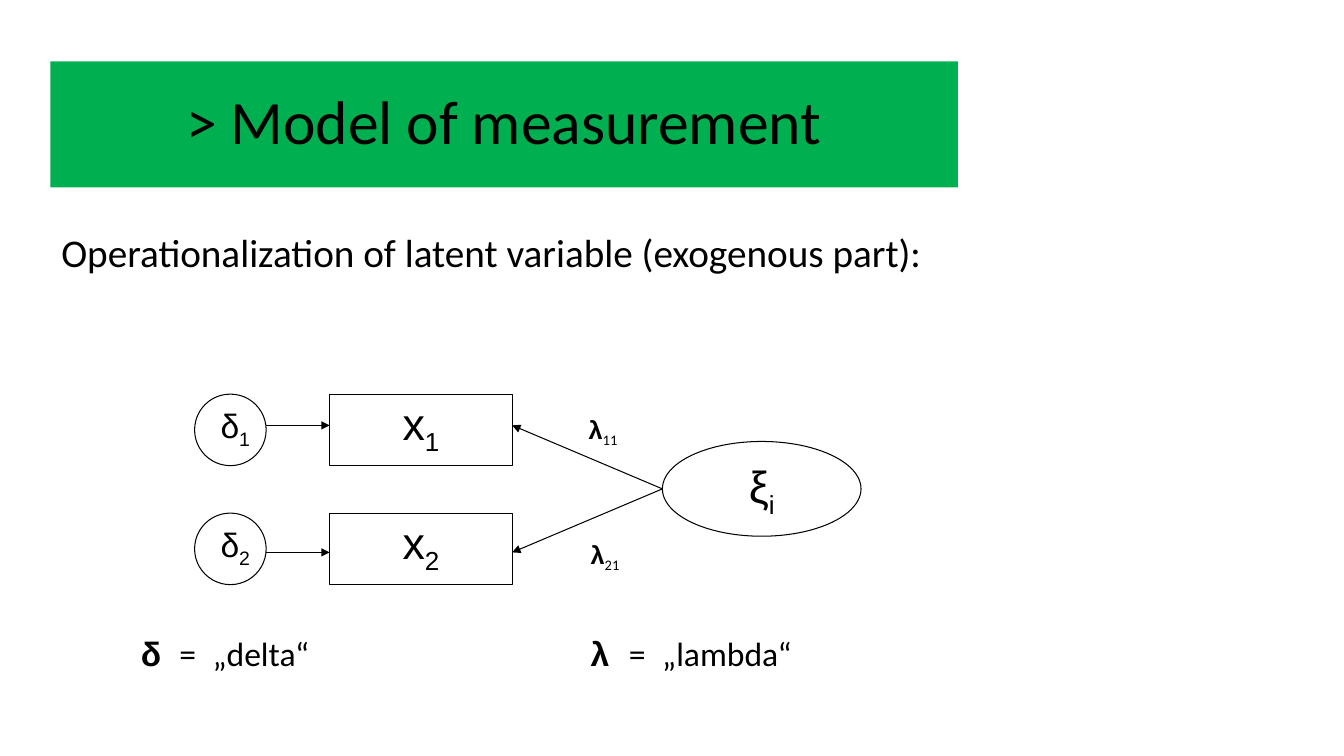
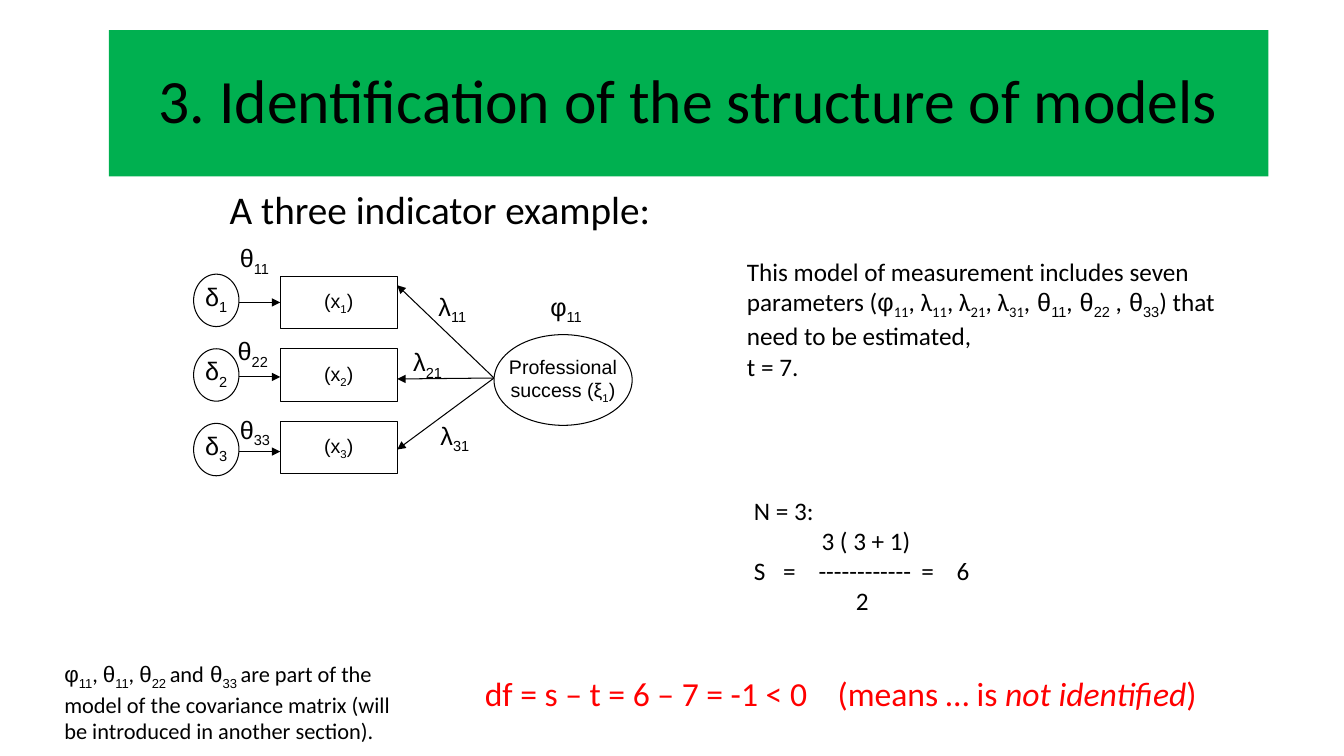
from dataclasses import dataclass

from lxml import etree
from pptx import Presentation
from pptx import util as u
from pptx.dml import color
from pptx.enum import shapes, text
from pptx.oxml import ns

EMU_PER_PX = 9144


@dataclass(frozen=True)
class Theme:
    band: color.RGBColor = color.RGBColor(0x00, 0xB0, 0x50)
    ink: color.RGBColor = color.RGBColor(0x00, 0x00, 0x00)
    paper: color.RGBColor = color.RGBColor(0xFF, 0xFF, 0xFF)
    alert: color.RGBColor = color.RGBColor(0xFF, 0x00, 0x00)
    body_font: str = "Calibri"
    symbol_font: str = "Arial"
    title: int = 44
    heading: int = 28
    variable: int = 32
    large: int = 24
    body: int = 18
    note: int = 16
    small: int = 14
    line: float = 0.75
    tight: float = 0.9


THEME = Theme()
BODY, SYMBOL = THEME.body_font, THEME.symbol_font
OVAL, RECT = shapes.MSO_SHAPE.OVAL, shapes.MSO_SHAPE.RECTANGLE


@dataclass(frozen=True)
class Span:
    words: str
    font: str = BODY
    sub: bool = False
    bold: bool = False
    italic: bool = False


@dataclass(frozen=True)
class Para:
    spans: list
    indent: int = 0
    tabs: tuple = ()


def px(length):
    return u.Emu(length * EMU_PER_PX)


def indexed(letter, index, font=SYMBOL, index_font=None, bold=False):
    return [Span(letter, font, bold=bold), Span(index, index_font or font, sub=True)]


def add_span(para, span, size, ink):
    run = para.add_run()
    run.text = span.words
    run.font.name = span.font
    run.font.size = u.Pt(size)
    run.font.bold = span.bold
    run.font.italic = span.italic
    run.font.color.rgb = ink
    if span.sub:
        run.font._element.set("baseline", "-25000")


def add_tabs(para, tabs):
    stops = etree.SubElement(para._p.get_or_add_pPr(), ns.qn("a:tabLst"))
    for stop in tabs:
        etree.SubElement(stops, ns.qn("a:tab"), pos=str(px(stop)), algn="l")


def write(frame, paras, size, ink=THEME.ink, align=text.PP_ALIGN.LEFT, spacing=None):
    for number, content in enumerate(paras):
        para = frame.add_paragraph() if number else frame.paragraphs[0]
        para.alignment = align
        if spacing:
            para.line_spacing = spacing
        if content.indent:
            para._p.get_or_add_pPr().set("marL", str(px(content.indent)))
        if content.tabs:
            add_tabs(para, content.tabs)
        for span in content.spans:
            add_span(para, span, size, ink)


def add_text(page, place, paras, size, ink=THEME.ink, spacing=None):
    box = page.shapes.add_textbox(*map(px, place))
    box.text_frame.word_wrap = True
    write(box.text_frame, paras, size, ink, spacing=spacing)


def add_label(page, left, top, spans, size=THEME.body):
    add_text(page, (left, top, 63, 40), [Para(spans)], size)


def add_heading(page, left, top, words):
    add_text(page, (left, top, 900, 60), [Para([Span(words)])], THEME.heading,
             spacing=THEME.tight)


def add_title(page, place, words):
    band = page.shapes.add_shape(RECT, *map(px, place))
    band.shadow.inherit = False
    band.fill.solid()
    band.fill.fore_color.rgb = THEME.band
    band.line.fill.background()
    band.text_frame.word_wrap = True
    band.text_frame.vertical_anchor = text.MSO_ANCHOR.MIDDLE
    write(band.text_frame, [Para([Span(words)])], THEME.title,
          align=text.PP_ALIGN.CENTER, spacing=THEME.tight)


def add_node(page, kind, place, paras, size, right=0, up=0):
    node = page.shapes.add_shape(kind, *map(px, place))
    node.shadow.inherit = False
    node.fill.solid()
    node.fill.fore_color.rgb = THEME.paper
    node.line.color.rgb = THEME.ink
    node.line.width = u.Pt(THEME.line)
    frame = node.text_frame
    frame.word_wrap = False
    frame.vertical_anchor = text.MSO_ANCHOR.MIDDLE
    frame.margin_left, frame.margin_bottom = px(2 * right), px(2 * up)
    frame.margin_right = frame.margin_top = 0
    write(frame, paras, size, align=text.PP_ALIGN.CENTER)


def add_arrow(page, start, end):
    arrow = page.shapes.add_connector(
        shapes.MSO_CONNECTOR.STRAIGHT, *map(px, start + end))
    arrow.line.color.rgb = THEME.ink
    arrow.line.width = u.Pt(THEME.line)
    etree.SubElement(arrow.line._get_or_add_ln(), ns.qn("a:tailEnd"), type="triangle")
    etree.SubElement(arrow._element.spPr, ns.qn("a:effectLst"))


def build_measurement(page):
    add_title(page, (50, 61, 900, 125), "> Model of measurement")
    add_heading(page, 51, 227, "Operationalization of latent variable (exogenous part):")

    rows = (("1", 391, 422), ("2", 509, 548))
    for index, top, arrow_y in rows:
        add_node(page, OVAL, (193, top, 71, 71), [Para(indexed("δ", index))],
                 THEME.large, right=5, up=2)
        add_node(page, RECT, (327, top, 181, 71), [Para(indexed("x", index))],
                 THEME.variable, up=4)
        add_arrow(page, (264, arrow_y), (327, arrow_y))
        add_arrow(page, (657, 485), (508, arrow_y))
    add_node(page, OVAL, (657, 438, 197, 94), [Para(indexed("ξ", "i"))], THEME.variable)

    for left, top, index in ((574, 406, "11"), (576, 530, "21")):
        add_label(page, left, top, indexed("λ", index, index_font=BODY, bold=True))
    for left, letter, name in ((130, "δ", "delta"), (576, "λ", "lambda")):
        spans = [Span(letter, SYMBOL, bold=True), Span(f"\t=\t„{name}“")]
        add_text(page, (left, 623, 269, 50), [Para(spans, tabs=(38, 71))], THEME.large)


def build_indicator_model(page):
    for row, tip_y in enumerate((283, 376, 446)):
        index = str(row + 1)
        arrow_y = 300 + 74 * row
        add_node(page, OVAL, (192, 272 + 74 * row, 45, 52),
                 [Para(indexed("δ", index))], THEME.body, up=2)
        add_node(page, RECT, (278, 274 + 72 * row, 116, 52),
                 [Para([Span("(", SYMBOL), *indexed("x", index), Span(")", SYMBOL)])],
                 THEME.small)
        add_arrow(page, (237, arrow_y), (278, arrow_y))
        add_arrow(page, (490, 375), (394, tip_y))
    success = [Para([Span("Professional", SYMBOL)]),
               Para([Span("success (", SYMBOL), *indexed("ξ", "1"), Span(")", SYMBOL)])]
    add_node(page, OVAL, (490, 332, 137, 90), success, THEME.small)

    labels = (
        (228, 236, "θ", "11"), (226, 328, "θ", "22"), (228, 406, "θ", "33"),
        (425, 284, "λ", "11"), (400, 339, "λ", "21"), (427, 412, "λ", "31"),
        (536, 284, "φ", "11"),
    )
    for left, top, letter, index in labels:
        add_label(page, left, top, indexed(letter, index))


def build_identification(page):
    add_title(page, (108, 30, 1150, 145), "3. Identification of the structure of models")
    add_heading(page, 218, 184, "A three indicator example:")
    build_indicator_model(page)

    parameters = [Span("This model of measurement includes seven parameters ("),
                  *indexed("φ", "11", index_font=BODY)]
    for index in ("11", "21", "31"):
        parameters += indexed(", λ", index, BODY)
    for comma, index in ((",", "11"), (",", "22"), (" ,", "33")):
        parameters += [Span(comma), *indexed(" θ", index)]
    parameters.append(Span(") that need to be estimated,"))
    add_text(page, (731, 249, 528, 131),
             [Para(parameters), Para([Span("t = 7.")])], THEME.body)

    formula = [
        Para([Span("N = 3:")]),
        Para([Span("3 ( 3 + 1)")], indent=67),
        Para([Span("S\t=\t------------\t=\t6")], tabs=(29, 64, 166, 201)),
        Para([Span("2")], indent=101),
    ]
    add_text(page, (738, 486, 326, 131), formula, THEME.body)

    result = [Span("df = s – t = 6 – 7 = -1 < 0\t(means … is "),
              Span("not identified", italic=True), Span(")")]
    add_text(page, (471, 663, 811, 50), [Para(result, tabs=(350,))],
             THEME.large, THEME.alert)

    note = [*indexed("φ", "11"), Span(", "), *indexed("θ", "11"), Span(", "),
            *indexed("θ", "22 "), Span("and"), *indexed(" θ", "33 "),
            Span("are part of the model of the covariance matrix "
                 "(will be introduced in another section).")]
    add_text(page, (54, 650, 370, 91), [Para(note)], THEME.note)


def main():
    deck = Presentation()
    deck.slide_width, deck.slide_height = px(1333), px(750)
    for build in (build_measurement, build_identification):
        build(deck.slides.add_slide(deck.slide_layouts[6]))
    deck.save("out.pptx")


if __name__ == "__main__":
    main()
